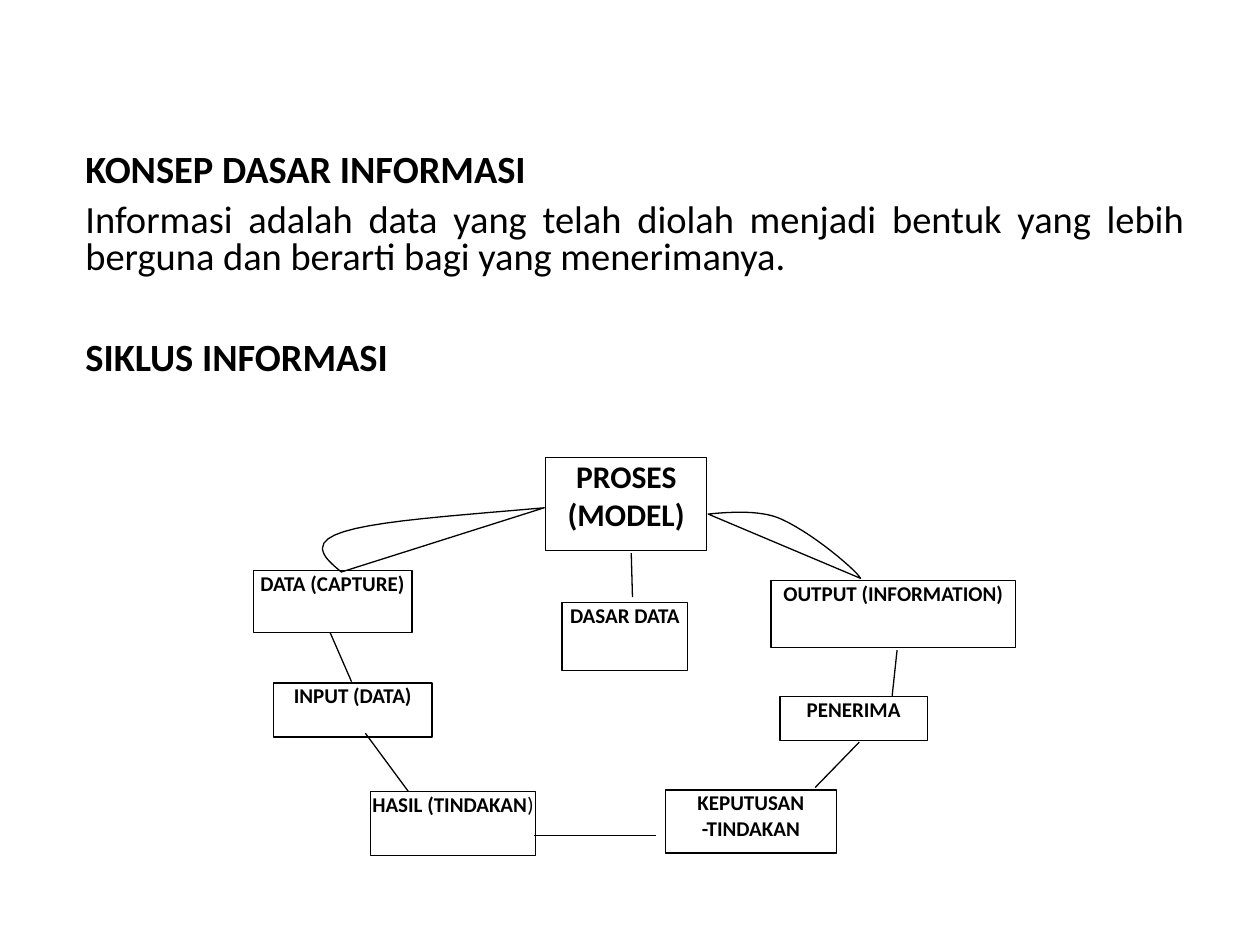
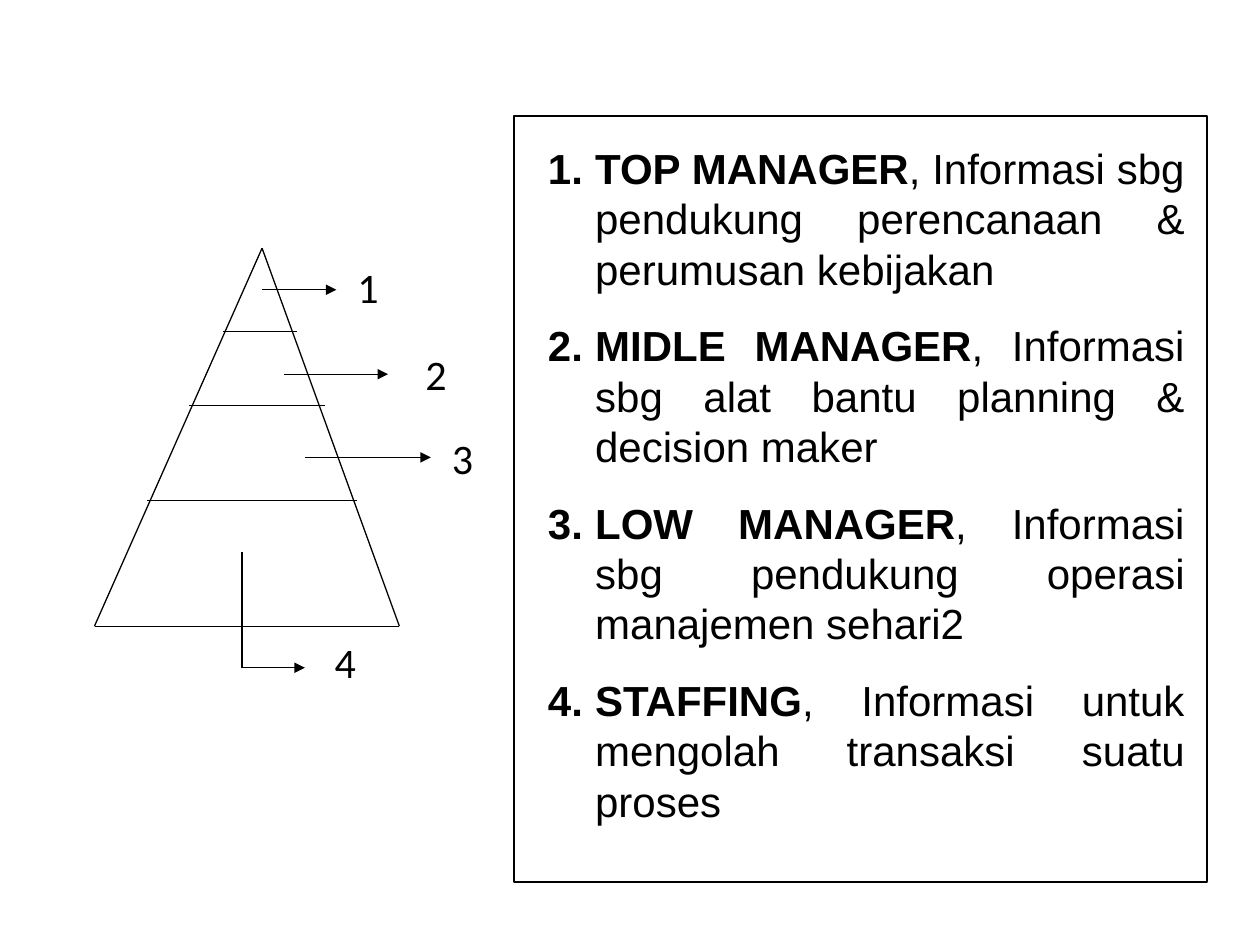
from dataclasses import dataclass
from lxml.etree import SubElement
from pptx import Presentation
from pptx.dml.color import RGBColor
from pptx.enum.shapes import MSO_CONNECTOR, MSO_SHAPE
from pptx.enum.text import MSO_ANCHOR, PP_ALIGN
from pptx.oxml.ns import qn
from pptx.util import Inches, Pt


@dataclass(frozen=True)
class Theme:
    ink: RGBColor = RGBColor(0, 0, 0)
    body: str = "Calibri"
    list: str = "Arial"
    small: int = 12
    mid: int = 18
    lead: int = 22
    large: int = 24
    line: float = 0.75


THEME = Theme()
COLS, ROWS = 100, 75
WIDE, HIGH = Inches(10), Inches(7.5)


# Grid: 100 columns by 75 rows
def col(n):
    return round(WIDE * n / COLS)


def row(n):
    return round(HIGH * n / ROWS)


def area(x, y, w, h):
    return col(x), row(y), col(w), row(h)


# Text
def number(para):
    """Give a paragraph a hanging automatic number."""
    props = para._p.get_or_add_pPr()
    props.set("marL", str(col(3.75)))
    props.set("indent", str(-col(3.75)))
    SubElement(props, qn("a:buFont"), typeface="+mj-lt")
    SubElement(props, qn("a:buAutoNum"), type="arabicPeriod")


def write(frame, *paras, font=THEME.body, size=THEME.small, align=PP_ALIGN.CENTER,
          gaps=(), space=None, inset=(0, 0), listed=False):
    """Fill a frame; each paragraph is a list of (words, bold) runs."""
    frame.word_wrap = True
    frame.vertical_anchor = MSO_ANCHOR.TOP
    frame.margin_left = frame.margin_right = col(inset[0])
    frame.margin_top = frame.margin_bottom = row(inset[1])
    for i, runs in enumerate(paras):
        para = frame.paragraphs[0] if i == 0 else frame.add_paragraph()
        if listed:
            number(para)
        para.alignment = align
        if space:
            para.line_spacing = space
        if i:
            para.space_before = Pt(gaps[i - 1])
        for words, bold in runs:
            run = para.add_run()
            run.text = words
            run.font.name, run.font.size, run.font.bold = font, Pt(size), bold
            run.font.color.rgb = THEME.ink


def label(slide, place, *paras, **style):
    write(slide.shapes.add_textbox(*area(*place)).text_frame, *paras, **style)


# Outlines
def trace(shape):
    shape.line.color.rgb = THEME.ink
    shape.line.width = Pt(THEME.line)


def hollow(shape):
    shape.fill.background()
    shape.shadow.inherit = False
    trace(shape)


def box(slide, place, *runs, size=THEME.small):
    shape = slide.shapes.add_shape(MSO_SHAPE.RECTANGLE, *area(*place))
    hollow(shape)
    if runs:
        write(shape.text_frame, runs, size=size)


def link(slide, x1, y1, x2, y2, arrow=False):
    line = slide.shapes.add_connector(
        MSO_CONNECTOR.STRAIGHT, col(x1), row(y1), col(x2), row(y2))
    trace(line)
    if arrow:
        SubElement(line.line._get_or_add_ln(), qn("a:tailEnd"), type="triangle")
    SubElement(line._element.spPr, qn("a:effectLst"))


def bend(a, b, c, d, steps=14):
    """Points after a along the cubic curve a, b, c, d."""
    for i in range(1, steps + 1):
        t = i / steps
        u = 1 - t
        parts = (u ** 3, 3 * u * u * t, 3 * u * t * t, t ** 3)
        yield tuple(sum(k * p[n] for k, p in zip(parts, (a, b, c, d)))
                    for n in (0, 1))


def leaf(slide, start, *curves):
    """Closed outline: curves out from the start, straight line back."""
    points, last = [], start
    for curve in curves:
        points += bend(last, *curve)
        last = curve[-1]
    pen = slide.shapes.build_freeform(col(start[0]), row(start[1]))
    pen.add_line_segments([(col(x), row(y)) for x, y in points], close=True)
    hollow(pen.convert_to_shape())


# Slide 1: the information cycle
def cycle(slide):
    label(slide, (5.8, 12.2, 89.2, 18),
          [("KONSEP DASAR INFORMASI", True)],
          [("Informasi adalah data yang telah diolah menjadi bentuk yang lebih "
            "berguna dan berarti bagi yang menerimanya.", False)],
          [("SIKLUS INFORMASI", True)],
          size=THEME.lead, align=PP_ALIGN.JUSTIFY, gaps=(7.5, 36.5), space=0.8,
          inset=(1, 0))

    for words, place in (
            ("INPUT (DATA)", (21.7, 54.2, 12.6, 4.3)),
            ("DATA (CAPTURE)", (20.1, 45.3, 12.6, 4.9)),
            ("KEPUTUSAN -TINDAKAN", (52.8, 62.7, 13.6, 5)),
            ("PENERIMA", (61.9, 55.3, 11.7, 3.5)),
            ("OUTPUT (INFORMATION)", (61.2, 46.1, 19.4, 5.3)),
            ("DASAR DATA", (44.6, 47.8, 10, 5.4))):
        box(slide, place, (words, True))
    box(slide, (29.4, 62.8, 13.1, 5.1), ("HASIL (TINDAKAN", True), (")", False))
    box(slide, (43.3, 36.3, 12.8, 7.4), ("PROSES (MODEL)", True), size=THEME.mid)

    leaf(slide, (27.1, 45.4),
         ((26.5, 44.9), (25.6, 44.2), (25.6, 43.5)),
         ((25.6, 41.6), (33, 41.2), (43.2, 40.3)))
    leaf(slide, (56.2, 40.8),
         ((58.2, 40.6), (60.5, 40.5), (62, 41.2)),
         ((64.5, 42.3), (68, 45.3), (68.3, 45.9)))
    for ends in ((50.1, 43.9, 50.2, 47.4), (26.2, 50.2, 27.9, 54.1),
                 (29, 58.2, 32.4, 62.8), (42.4, 66.3, 52.1, 66.3),
                 (71.2, 51.6, 70.8, 55.3), (68.2, 58.9, 64.7, 62.5)):
        link(slide, *ends)


# Slide 2: the levels of management
def levels(slide):
    box(slide, (40.8, 9.2, 55, 60.8))
    roles = (("TOP MANAGER", "pendukung perencanaan & perumusan kebijakan"),
             ("MIDLE MANAGER", "alat bantu planning & decision maker"),
             ("LOW MANAGER", "pendukung operasi manajemen sehari2"))
    items = [[(who, True), (f", Informasi sbg {use}", False)] for who, use in roles]
    items.append([("STAFFING", True),
                  (", Informasi untuk mengolah transaksi suatu proses", False)])
    label(slide, (42.5, 10.8, 52.5, 55.3), *items, font=THEME.list,
          size=THEME.large, align=PP_ALIGN.JUSTIFY, gaps=(15, 15, 15),
          inset=(1, 0.5), listed=True)

    # Pyramid sides, then its base and level lines
    top, base = (20.8, 19.7), 49.7
    for foot in (7.5, 31.7):
        link(slide, *top, foot, base)
    for left, right, y in ((7.5, 31.7, base), (17.7, 23.6, 26.3),
                           (15, 25.8, 32.2), (11.7, 28.3, 39.7)):
        link(slide, left, y, right, y)

    # Numbered pointers
    link(slide, 19.2, 43.8, 19.2, 53)
    marks = ((20.8, 26.7, 23, 26.3, 20.3), (22.5, 30.8, 29.7, 31.7, 27.2),
             (24.2, 34.2, 36.3, 33.8, 33.8), (19.2, 24.2, 53, 24.5, 50))
    for i, (left, right, y, x, head) in enumerate(marks, 1):
        link(slide, left, y, right, y, arrow=True)
        label(slide, (x, head, 5.8, 5), [(str(i), False)], size=THEME.large,
              inset=(1, 0.5))


def main():
    deck = Presentation()
    deck.slide_width, deck.slide_height = WIDE, HIGH
    for draw in (cycle, levels):
        draw(deck.slides.add_slide(deck.slide_layouts[6]))
    deck.save("out.pptx")


if __name__ == "__main__":
    main()
